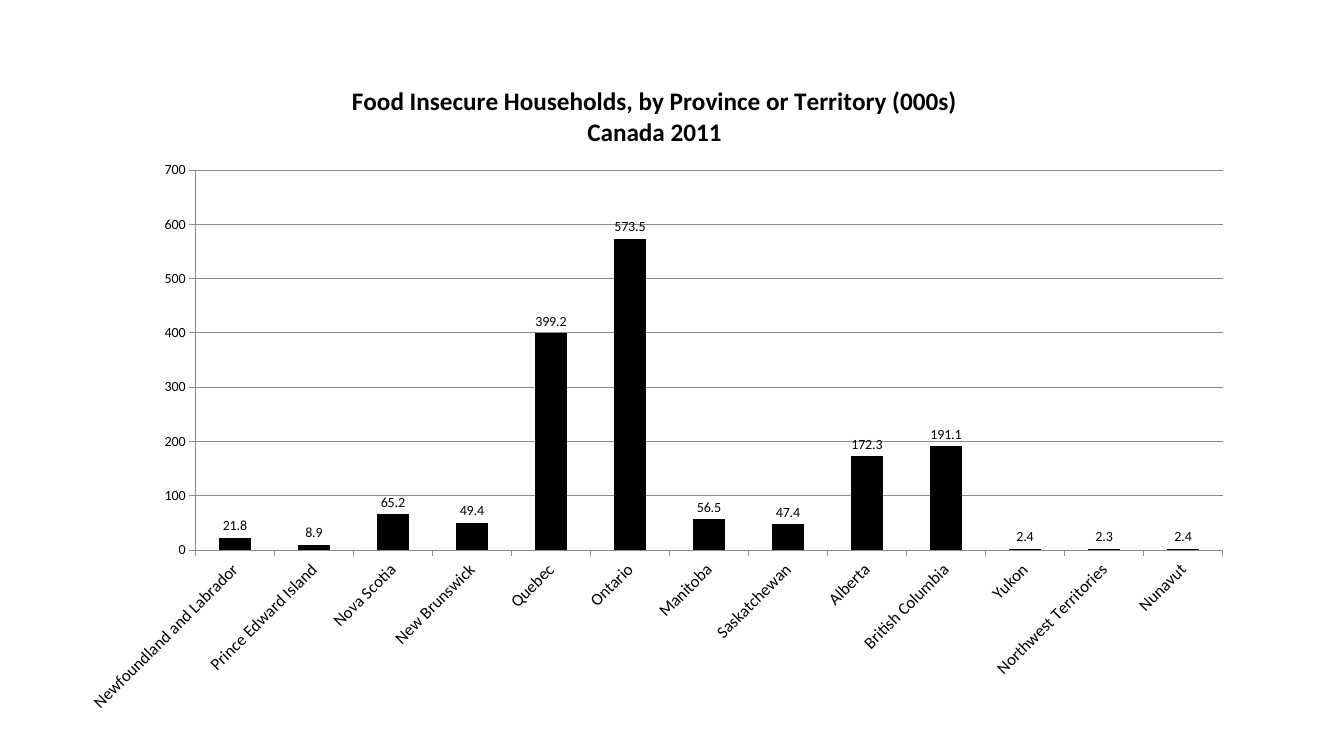
"""Build a slide with a column chart of food insecure households in Canada."""
from lxml import etree
from pptx import Presentation
from pptx.chart.data import CategoryChartData
from pptx.dml.color import RGBColor
from pptx.enum.chart import XL_CHART_TYPE, XL_LABEL_POSITION, XL_TICK_MARK
from pptx.oxml.ns import qn
from pptx.util import Inches, Pt

COLUMNS = XL_CHART_TYPE.COLUMN_CLUSTERED
OUTSIDE_END = XL_LABEL_POSITION.OUTSIDE_END
TICK_OUT = XL_TICK_MARK.OUTSIDE
BLACK, GREY, WHITE = "000000", "8B8B8B", "FFFFFF"


def style_font(font, size, bold=False):
    font.name = "Calibri"
    font.size = Pt(size)
    font.bold = bold
    font.color.rgb = RGBColor.from_string(BLACK)


def place(parent, index, settings):
    for old_layout in parent.findall(qn("c:layout")):
        parent.remove(old_layout)
    layout = etree.Element(qn("c:layout"))
    manual = etree.SubElement(layout, qn("c:manualLayout"))
    for tag, value in settings.items():
        etree.SubElement(manual, qn(f"c:{tag}")).set("val", str(value))
    parent.insert(index, layout)


households = {
    "Newfoundland and Labrador": 21.8,
    "Prince Edward Island": 8.9,
    "Nova Scotia": 65.2,
    "New Brunswick": 49.4,
    "Quebec": 399.2,
    "Ontario": 573.5,
    "Manitoba": 56.5,
    "Saskatchewan": 47.4,
    "Alberta": 172.3,
    "British Columbia": 191.1,
    "Yukon": 2.4,
    "Northwest Territories": 2.3,
    "Nunavut": 2.4,
}

prs = Presentation()
prs.slide_width, prs.slide_height = Inches(13.33), Inches(7.5)
slide = prs.slides.add_slide(prs.slide_layouts[6])

data = CategoryChartData(number_format="0.0")
data.categories = list(households)
data.add_series("Series 1", list(households.values()))
chart = slide.shapes.add_chart(
    COLUMNS, Inches(0.65), Inches(0.54), Inches(11.71), Inches(6.67), data
).chart
style_font(chart.font, 10)
chart.has_legend = False

heading = chart.chart_title.text_frame
heading.text = "Food Insecure Households, by Province or Territory (000s)\nCanada 2011"
for line in heading.paragraphs:
    style_font(line.runs[0].font, 18, bold=True)
chart.chart_title.include_in_layout = False
title_xml = chart._chartSpace.chart.find(qn("c:title"))
place(title_xml, 1, {"xMode": "edge", "yMode": "edge", "x": 0.24, "y": 0.04})

plot_area = chart._chartSpace.chart.plotArea
place(plot_area, 0, {
    "layoutTarget": "inner", "xMode": "edge", "yMode": "edge",
    "x": 0.11, "y": 0.172, "w": 0.87, "h": 0.565,
})
plot_fill = etree.SubElement(etree.SubElement(plot_area, qn("c:spPr")), qn("a:solidFill"))
etree.SubElement(plot_fill, qn("a:srgbClr")).set("val", WHITE)

provinces, thousands = chart.category_axis, chart.value_axis
thousands.minimum_scale, thousands.maximum_scale = 0, 700
thousands.major_unit = 100
thousands.has_major_gridlines = True
for axis, size in ((provinces, 12), (thousands, 10)):
    axis.major_tick_mark = TICK_OUT
    style_font(axis.tick_labels.font, size)
axis_lines = (provinces.format.line, thousands.format.line,
              thousands.major_gridlines.format.line)
for line in axis_lines:
    line.color.rgb = RGBColor.from_string(GREY)
    line.width = Pt(0.5)
thousands.tick_labels.number_format = "#,##0"
thousands.tick_labels.number_format_is_linked = False
provinces._element.find(qn("c:txPr")).find(qn("a:bodyPr")).set("rot", "-2700000")

columns = chart.plots[0]
columns.gap_width = 150
columns.vary_by_categories = False
bars = columns.series[0]
bars.format.fill.solid()
bars.format.fill.fore_color.rgb = RGBColor.from_string(BLACK)
labels = bars.data_labels
labels.show_value = True
labels.position = OUTSIDE_END
labels.number_format = "0.0"
labels.number_format_is_linked = False
style_font(labels.font, 10)

prs.save("out.pptx")
